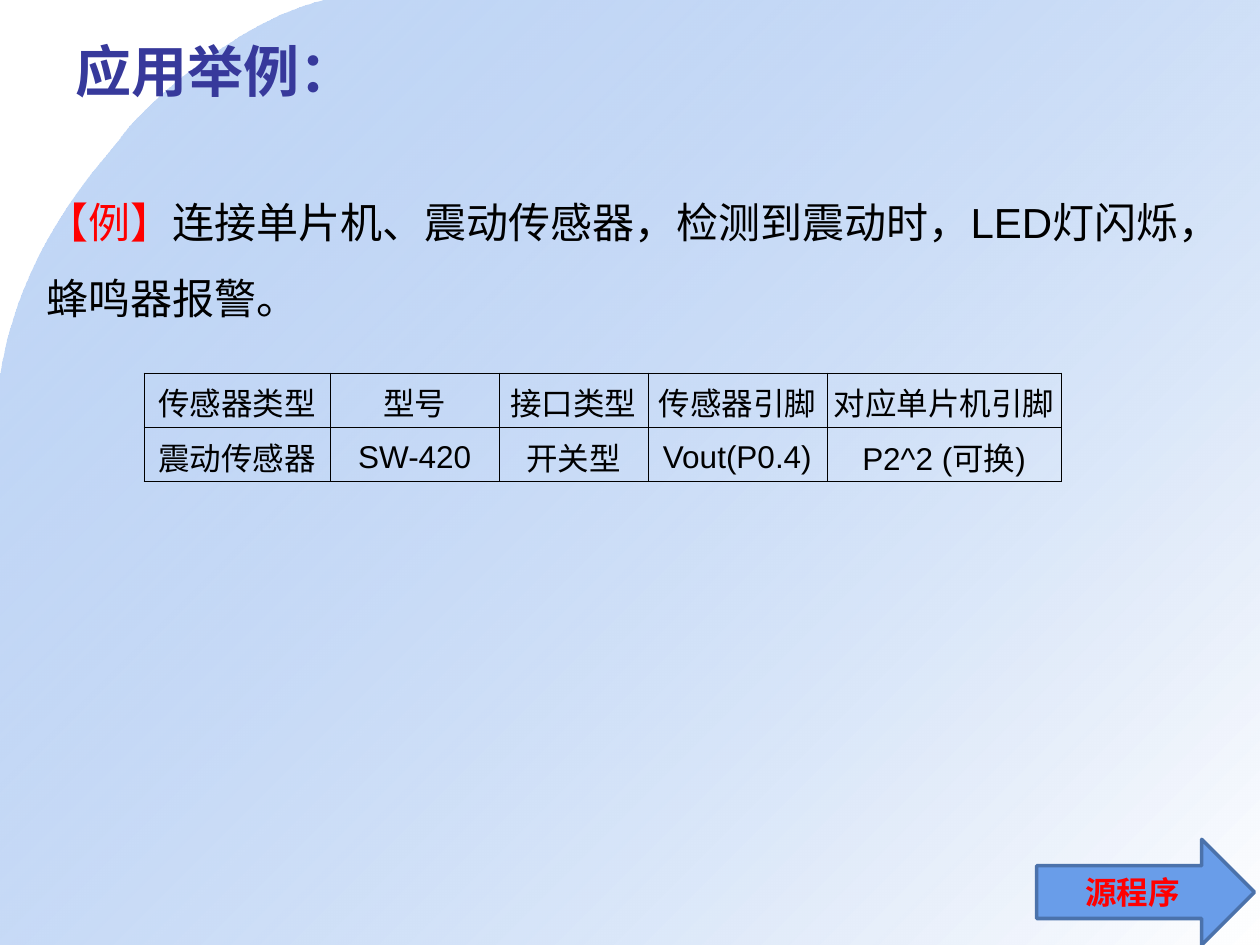
from lxml import etree
from pptx import Presentation
from pptx import util as u
from pptx.dml import color
from pptx.enum import lang, shapes, text
from pptx.oxml import ns

BLUE = color.RGBColor(0x69, 0x9D, 0xE9)
DARK_BLUE = color.RGBColor(0x4B, 0x72, 0xAB)
INDIGO = color.RGBColor(0x37, 0x39, 0x9B)
RED = color.RGBColor(0xFF, 0, 0)
BLACK = color.RGBColor(0, 0, 0)
WHITE = color.RGBColor(0xFF, 0xFF, 0xFF)
LATIN_FONT = "Arial"
CHINESE_FONT = "Noto Sans CJK SC"
HEADERS = ["传感器类型", "型号", "接口类型", "传感器引脚", "对应单片机引脚"]
SENSOR = ["震动传感器", "SW-420", "开关型", "Vout(P0.4)", "P2^2 (可换)"]
COLUMN_WIDTHS = [3.76, 3.4, 3, 3.61, 4.72]
CURVES = [
    ((2.58, 0), (1.9, 0.16), (1.16, 0.83), (0.98, 1.07)),
    ((0.98, 1.07), (0.8, 1.32), (0.16, 1.94), (0, 3.01)),
]


def add_run(paragraph, words, size, ink, bold=False, font=LATIN_FONT):
    """Add one formatted run with its Chinese font to a paragraph."""
    run = paragraph.add_run()
    run.text = words
    run.font.size = u.Pt(size)
    run.font.bold = bold
    run.font.color.rgb = ink
    run.font.name = font
    run.font.language_id = lang.MSO_LANGUAGE_ID.SIMPLIFIED_CHINESE
    properties = run._r.get_or_add_rPr()
    etree.SubElement(properties, ns.qn("a:ea"), typeface=CHINESE_FONT)


def curve_points(curve, steps=24):
    """Return points along a cubic curve, without its start."""
    points = []
    for step in range(1, steps + 1):
        t = step / steps
        weights = ((1 - t) ** 3, 3 * t * (1 - t) ** 2, 3 * t * t * (1 - t), t ** 3)
        points.append(tuple(sum(w * p[axis] for w, p in zip(weights, curve)) for axis in (0, 1)))
    return points


def add_backdrop(slide, left, top, width, height):
    """Draw the curved gradient area behind everything else."""
    points = [point for curve in CURVES for point in curve_points(curve)]
    points += [(0, 7.5), (10, 7.5), (10, 0)]
    scale = (width / 10, height / 7.5)
    points = [(x * scale[0], y * scale[1]) for x, y in points]
    builder = slide.shapes.build_freeform(CURVES[0][0][0] * scale[0], 0)
    builder.add_line_segments(points, close=True)
    backdrop = builder.convert_to_shape(left, top)
    backdrop.shadow.inherit = False
    backdrop.line.fill.background()
    backdrop.fill.gradient()
    backdrop.fill.gradient_angle = 315
    for stop, shade in zip(backdrop.fill.gradient_stops, (BLUE, WHITE)):
        stop.color.rgb = shade
    first_colour = next(backdrop._element.iter(ns.qn("a:srgbClr")))
    etree.SubElement(first_colour, ns.qn("a:alpha"), val="39000")
    slide.shapes._spTree.insert(2, backdrop._element)


def add_title(slide, left, top, width, height):
    """Place and format the title placeholder."""
    title = slide.shapes.title
    title.left, title.top, title.width, title.height = left, top, width, height
    frame = title.text_frame
    frame.vertical_anchor = text.MSO_ANCHOR.MIDDLE
    frame.auto_size = text.MSO_AUTO_SIZE.NONE
    paragraph = frame.paragraphs[0]
    paragraph.alignment = text.PP_ALIGN.LEFT
    add_run(paragraph, "应用举例：", 32, INDIGO, bold=True)


def add_example(slide, left, top, width, height):
    """Add the description of the example."""
    frame = slide.shapes.add_textbox(left, top, width, height).text_frame
    frame.word_wrap = True
    paragraph = frame.paragraphs[0]
    paragraph.line_spacing = 1.5
    add_run(paragraph, "【例】", 24, RED)
    add_run(paragraph, "连接单片机、震动传感器，检测到震动时，LED灯闪烁，蜂鸣器报警。", 24, BLACK)


def format_cell(cell, words):
    """Fill one table cell and give it thin black borders."""
    cell.margin_left = cell.margin_right = u.Cm(0.03)
    cell.margin_top = cell.margin_bottom = u.Cm(0.13)
    cell.vertical_anchor = text.MSO_ANCHOR.BOTTOM
    paragraph = cell.text_frame.paragraphs[0]
    paragraph.alignment = text.PP_ALIGN.CENTER
    add_run(paragraph, words, 18, BLACK, font=CHINESE_FONT if words == "开关型" else LATIN_FONT)
    properties = cell._tc.get_or_add_tcPr()
    for side in ("lnL", "lnR", "lnT", "lnB"):
        border = etree.SubElement(properties, ns.qn(f"a:{side}"), w=str(u.Pt(0.45)))
        fill = etree.SubElement(border, ns.qn("a:solidFill"))
        etree.SubElement(fill, ns.qn("a:srgbClr"), val=str(BLACK))
    cell.fill.background()


def add_pin_table(slide, left, top, width, height):
    """Add the table of sensor pins."""
    rows = [HEADERS, SENSOR]
    table = slide.shapes.add_table(len(rows), len(HEADERS), left, top, width, height).table
    table.first_row = table.horz_banding = False
    for column, column_width in zip(table.columns, COLUMN_WIDTHS):
        column.width = u.Cm(column_width)
    for row, entries in zip(table.rows, rows):
        for cell, words in zip(row.cells, entries):
            format_cell(cell, words)


def add_source_arrow(slide, left, top, width, height):
    """Add the arrow that points to the source program."""
    arrow = slide.shapes.add_shape(shapes.MSO_SHAPE.RIGHT_ARROW, left, top, width, height)
    arrow.shadow.inherit = False
    arrow.fill.solid()
    arrow.fill.fore_color.rgb = BLUE
    arrow.line.color.rgb = DARK_BLUE
    arrow.line.width = u.Pt(2)
    arrow.text_frame.vertical_anchor = text.MSO_ANCHOR.MIDDLE
    paragraph = arrow.text_frame.paragraphs[0]
    paragraph.alignment = text.PP_ALIGN.CENTER
    add_run(paragraph, "源程序", 18, RED, bold=True)


def main():
    """Build and save the slide."""
    presentation = Presentation()
    presentation.slide_width, presentation.slide_height = u.Cm(25.4), u.Cm(19.05)
    slide = presentation.slides.add_slide(presentation.slide_layouts[5])
    add_backdrop(slide, 0, 0, presentation.slide_width, presentation.slide_height)
    add_title(slide, u.Cm(1.27), u.Cm(0.63), u.Cm(22.86), u.Cm(1.57))
    add_example(slide, u.Cm(0.69), u.Cm(3.33), u.Cm(24), u.Cm(3.61))
    add_source_arrow(slide, u.Cm(20.9), u.Cm(16.92), u.Cm(4.39), u.Cm(2.13))
    add_pin_table(slide, u.Cm(2.9), u.Cm(7.52), u.Cm(sum(COLUMN_WIDTHS)), u.Cm(2.18))
    presentation.save("out.pptx")


if __name__ == "__main__":
    main()
